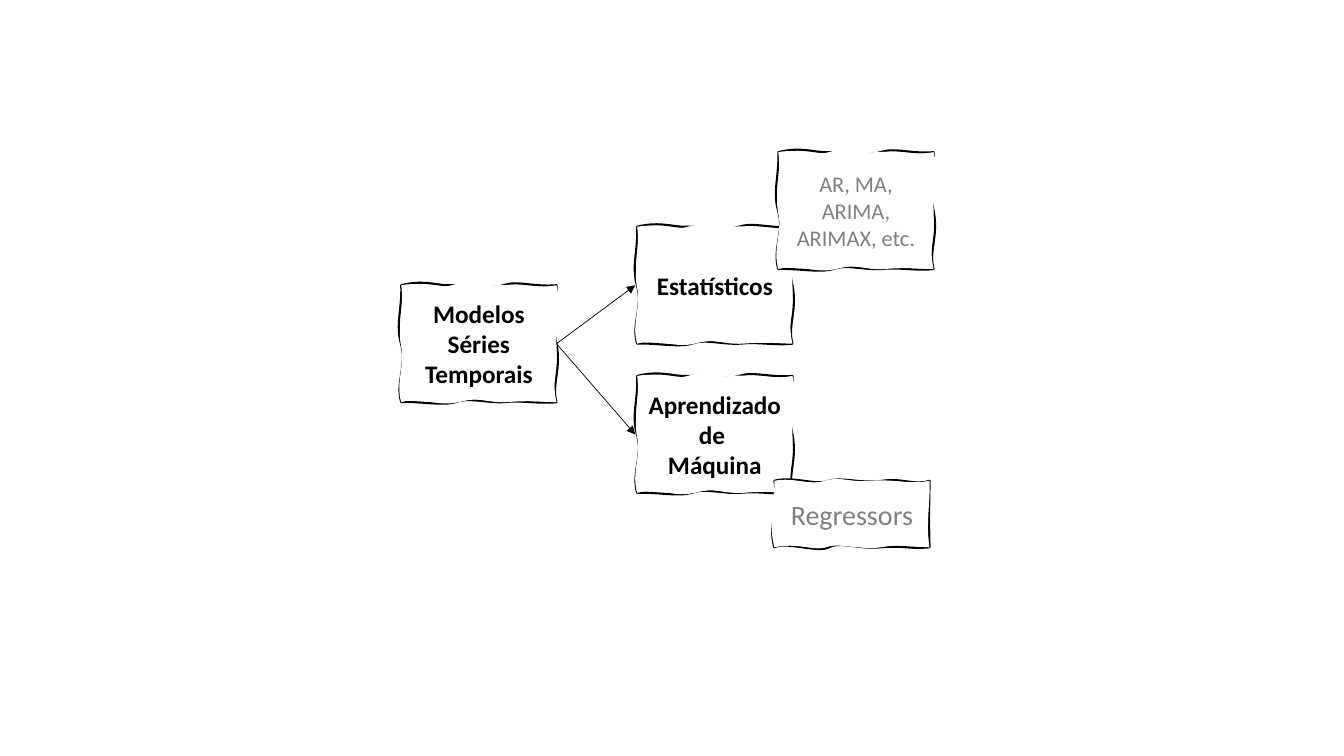
from dataclasses import dataclass

from lxml.etree import SubElement
from pptx import Presentation
from pptx.dml.color import RGBColor
from pptx.enum.shapes import MSO_CONNECTOR
from pptx.enum.text import MSO_ANCHOR, PP_ALIGN
from pptx.oxml.ns import qn
from pptx.util import Inches, Pt

COLORS = {"ink": "000000", "muted": "808080", "paper": "FFFFFF"}
FONT = "Calibri"
BOX_WIDTH = 1.54
ARROW_GAP = 0.02

Curve = tuple[int, int, int, int, int, int]


@dataclass(frozen=True)
class Sketch:
    """Hand-drawn outline: Bezier curves from the top left, in 1/100 inch."""
    height: float
    stroke: tuple[Curve, ...]
    fill: tuple[Curve, ...]


@dataclass(frozen=True)
class Box:
    """A sketched box with its lines of text."""
    left: float
    top: float
    text: str
    size: int
    color: str = "ink"
    bold: bool = False
    sketch: str = "tall"

    @property
    def middle(self) -> float:
        """Vertical centre in inches."""
        return self.top + SKETCHES[self.sketch].height / 2


SKETCHES = {
    "tall": Sketch(
        1.16,
        stroke=((23, -6, 37, 1, 50, 0), (62, -1, 86, 5, 101, 0),
                (115, -5, 132, 2, 154, 0), (156, 27, 148, 32, 154, 58),
                (159, 84, 149, 98, 154, 116), (136, 118, 120, 114, 102, 116),
                (84, 117, 67, 111, 54, 116), (41, 120, 18, 115, 0, 116),
                (-6, 97, 6, 79, 0, 59), (-6, 39, 1, 24, 0, 0)),
        fill=((20, -4, 33, 5, 50, 0), (66, -5, 74, 2, 96, 0),
              (118, -2, 132, 4, 154, 0), (159, 18, 152, 31, 154, 57),
              (155, 83, 149, 93, 154, 116), (143, 116, 128, 114, 105, 116),
              (82, 117, 80, 110, 57, 116), (35, 121, 22, 110, 0, 116),
              (-6, 97, 4, 79, 0, 61), (-4, 44, 3, 25, 0, 0))),
    "short": Sketch(
        0.66,
        stroke=((19, -5, 41, 5, 54, 0), (68, -4, 86, 3, 107, 0),
                (128, -3, 138, 5, 154, 0), (154, 15, 153, 33, 154, 66),
                (132, 68, 130, 64, 106, 66), (82, 68, 65, 60, 54, 66),
                (44, 72, 12, 60, 0, 66), (-7, 40, 6, 28, 0, 0)),
        fill=((20, -4, 33, 5, 50, 0), (66, -5, 74, 2, 96, 0),
              (119, -2, 133, 4, 154, 0), (155, 19, 150, 45, 154, 66),
              (144, 66, 127, 62, 106, 66), (84, 69, 63, 61, 51, 66),
              (40, 70, 23, 61, 0, 66), (-7, 37, 1, 16, 0, 0))),
}

MODELS = Box(3.98, 2.83, "Modelos\nSéries Temporais", 18, bold=True)
STATISTICAL = Box(6.32, 2.25, "Estatísticos", 18, bold=True)
LEARNING = Box(6.32, 3.73, "Aprendizado\nde \nMáquina", 18, bold=True)
EXAMPLES = Box(7.72, 1.51, "AR, MA, ARIMA, ARIMAX, etc.", 16, "muted")
REGRESSORS = Box(7.68, 4.77, "Regressors", 20, "muted", sketch="short")


def rgb(name: str) -> RGBColor:
    """Look up a colour by name."""
    return RGBColor.from_string(COLORS[name])


def add_path(parent, curves: tuple[Curve, ...], height: float, **flags: str) -> None:
    """Append a closed Bezier path that starts at the top left corner."""
    path = SubElement(parent, qn("a:path"), w=str(round(BOX_WIDTH * 100)),
                      h=str(round(height * 100)), **flags)
    SubElement(SubElement(path, qn("a:moveTo")), qn("a:pt"), x="0", y="0")
    for curve in curves:
        bezier = SubElement(path, qn("a:cubicBezTo"))
        for x, y in zip(curve[::2], curve[1::2]):
            SubElement(bezier, qn("a:pt"), x=str(x), y=str(y))
    SubElement(path, qn("a:close"))


def add_box(s, box: Box) -> None:
    """Draw a box whose fill partly overlaps its wavy outline."""
    sketch = SKETCHES[box.sketch]
    left, top = Inches(box.left), Inches(box.top)
    right, bottom = left + Inches(BOX_WIDTH), top + Inches(sketch.height)
    builder = s.shapes.build_freeform(left, top)
    builder.add_line_segments([(right, top), (right, bottom), (left, bottom)])
    sp = builder.convert_to_shape()
    paths = sp._element.spPr.find(".//" + qn("a:pathLst"))
    paths.remove(paths[0])
    add_path(paths, sketch.stroke, sketch.height, fill="none")
    add_path(paths, sketch.fill, sketch.height, stroke="0")
    sp.shadow.inherit = False
    sp.fill.solid()
    sp.fill.fore_color.rgb = rgb("paper")
    sp.line.color.rgb = rgb("ink")
    sp.line.width = Pt(1.5)

    tf = sp.text_frame
    tf.text = box.text
    tf.word_wrap = True
    tf.vertical_anchor = MSO_ANCHOR.MIDDLE
    for p in tf.paragraphs:
        p.alignment = PP_ALIGN.CENTER
        for r in p.runs:
            r.font.name = FONT
            r.font.size = Pt(box.size)
            r.font.bold = box.bold
            r.font.color.rgb = rgb(box.color)


def add_arrow(s, source: Box, target: Box) -> None:
    """Draw an arrow from the right of one box to the left of another."""
    line = s.shapes.add_connector(
        MSO_CONNECTOR.STRAIGHT,
        Inches(source.left + BOX_WIDTH), Inches(source.middle),
        Inches(target.left - ARROW_GAP), Inches(target.middle))
    line.line.color.rgb = rgb("ink")
    line.line.width = Pt(0.5)
    SubElement(line.line._get_or_add_ln(), qn("a:tailEnd"), type="triangle")
    SubElement(line._element.spPr, qn("a:effectLst"))


prs = Presentation()
prs.slide_width, prs.slide_height = Inches(13.33), Inches(7.5)
s = prs.slides.add_slide(prs.slide_layouts[6])
for box in (STATISTICAL, MODELS, LEARNING, EXAMPLES, REGRESSORS):
    add_box(s, box)
for target in (STATISTICAL, LEARNING):
    add_arrow(s, MODELS, target)
prs.save("out.pptx")
